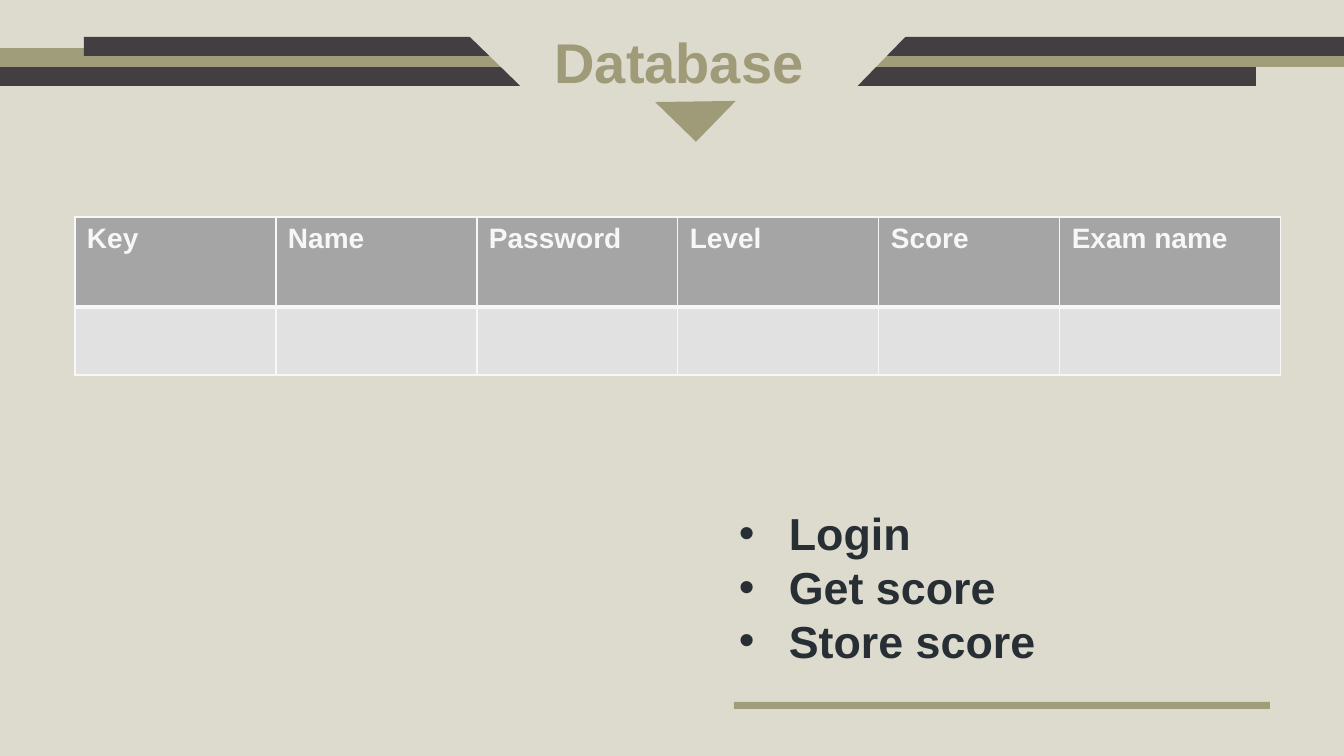
import pptx
import pptx.util
import pptx.dml.color
import pptx.enum.shapes
import pptx.enum.text
import pptx.oxml.ns
from lxml import etree

SHAPE = pptx.enum.shapes.MSO_SHAPE
ALIGN = pptx.enum.text.PP_ALIGN
SCALE = 12192000 / 1344
DARK, OLIVE, SAND, PALE = "423E42", "A09D7A", "DDDBCE", "F7F7F7"
TITLE, INK = "9F9A77", "272F34"


def px(size):
    return round(size * SCALE)


def paint(fill, color):
    fill.solid()
    fill.fore_color.rgb = pptx.dml.color.RGBColor.from_string(color)


def style(para, size, color):
    font = para.font
    font.name, font.size, font.bold = "Arial", pptx.util.Pt(size), True
    paint(font.fill, color)


def node(parent, tag, **attrs):
    return etree.SubElement(parent, pptx.oxml.ns.qn(tag), attrs)


def add_shape(slide, kind, box, color):
    shape = slide.shapes.add_shape(kind, *map(px, box))
    shape.shadow.inherit = False
    paint(shape.fill, color)
    shape.line.fill.background()
    return shape


def add_wedge(slide, box, color):
    wedge = add_shape(slide, SHAPE.ISOSCELES_TRIANGLE, box, color)
    wedge.adjustments[0] = 0
    wedge.rotation = 314.2


def add_text(slide, box, lines, size, color):
    frame = slide.shapes.add_textbox(*map(px, box)).text_frame
    frame.text = "\n".join(lines)
    for para in frame.paragraphs:
        style(para, size, color)
    return frame


def add_header(slide, box):
    left, top, width, height = box
    bars = [(0, 30, 1256, DARK), (0, 11, width, OLIVE), (84, 0, width - 84, DARK)]
    for x, y, length, color in bars:
        add_shape(slide, SHAPE.RECTANGLE, (left + x, top + y, length, 19), color)
    add_wedge(slide, (left + 397, top - 485, 565, 589), SAND)
    add_wedge(slide, (left + 667, top + 36, 57, 57), TITLE)
    frame = add_text(slide, (left + 517, top - 14, 324, 78), ["Database"], 40, TITLE)
    frame.word_wrap = False
    frame.paragraphs[0].alignment = ALIGN.CENTER


def add_edges(cell, weights):
    props = cell._tc.get_or_add_tcPr()
    for side, weight in zip("LRTB", weights):
        line = node(props, f"a:ln{side}", w=str(pptx.util.Pt(weight)))
        node(node(line, "a:solidFill"), "a:srgbClr", val=PALE)


def add_grid(slide, box):
    heads = ["Key", "Name", "Password", "Level", "Score", "Exam name"]
    table = slide.shapes.add_table(2, len(heads), *map(px, box)).table
    for row, high in zip(table.rows, (90, 68)):
        row.height = px(high)
    for col, wide in enumerate((201, 201, 201, 201, 181, 221)):
        table.columns[col].width = px(wide)
        head, blank = table.cell(0, col), table.cell(1, col)
        add_edges(head, (1, 1, 1, 3))
        add_edges(blank, (1, 1, 3, 1))
        paint(head.fill, "A5A5A5")
        paint(blank.fill, "E1E1E1")
        head.margin_left = head.margin_right = px(12)
        head.margin_top = head.margin_bottom = px(6)
        head.text = heads[col]
        style(head.text_frame.paragraphs[0], 20, PALE)


def add_list(slide, box):
    left, top, width, height = box
    frame = add_text(slide, (left, top, width, 173), [], 32, INK)
    frame.word_wrap = True
    frame.text = "Login\nGet score\nStore score"
    for para in frame.paragraphs:
        props = para._p.get_or_add_pPr()
        props.set("marL", str(px(50)))
        props.set("indent", str(px(-50)))
        node(props, "a:buFont", typeface="Arial")
        node(props, "a:buChar", char="•")
        style(para, 32, INK)
    add_shape(slide, SHAPE.RECTANGLE, (left + 5, top + height - 7, 536, 7), OLIVE)


def main():
    deck = pptx.Presentation()
    deck.slide_width, deck.slide_height = px(1344), px(756)
    slide = deck.slides.add_slide(deck.slide_layouts[6])
    paint(slide.background.fill, SAND)
    add_header(slide, (0, 37, 1344, 106))
    add_grid(slide, (75, 217, 1206, 158))
    add_list(slide, (729, 501, 547, 208))
    deck.save("out.pptx")


if __name__ == "__main__":
    main()
